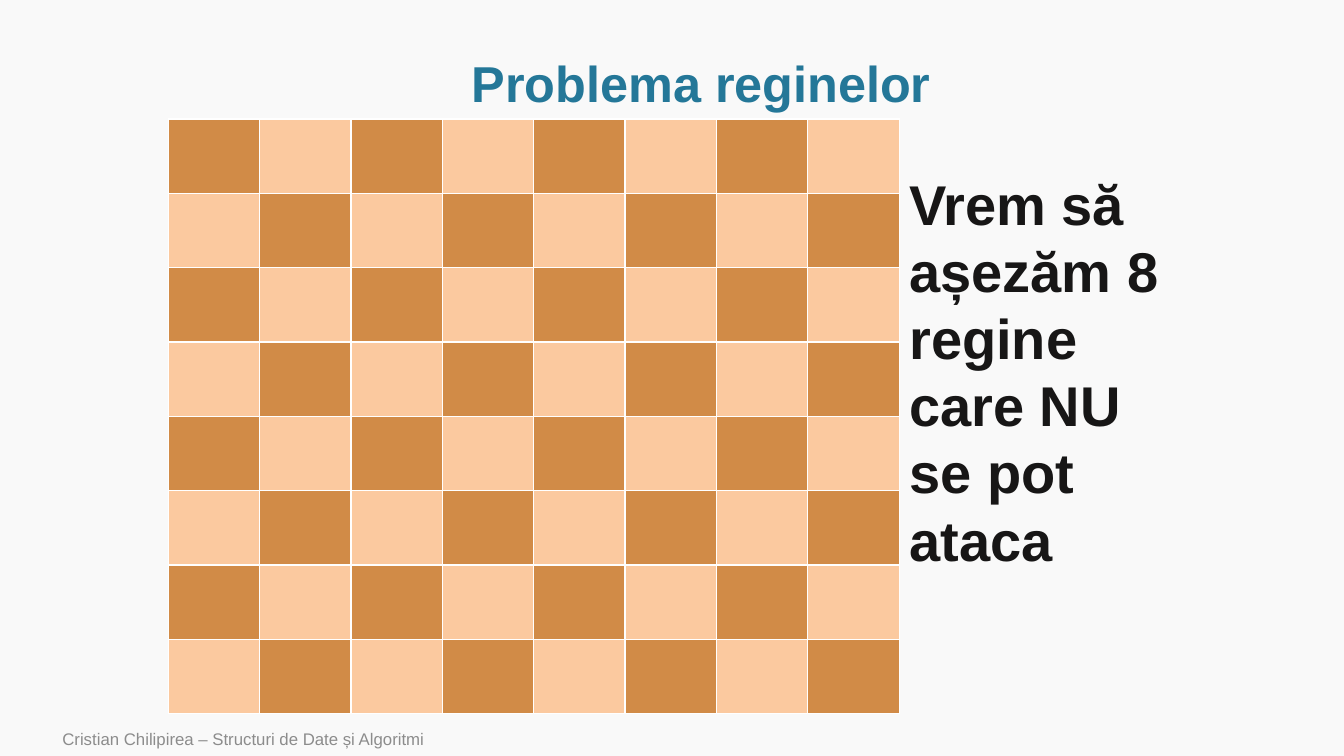
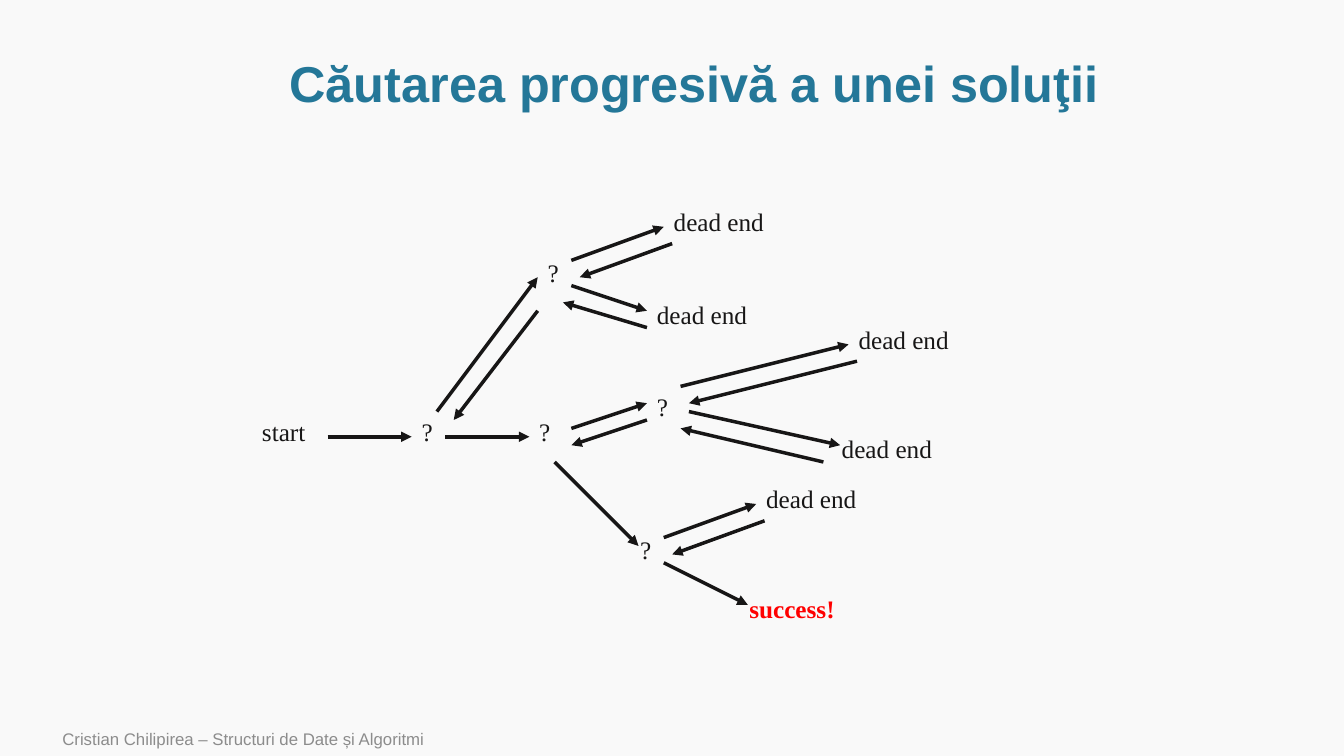
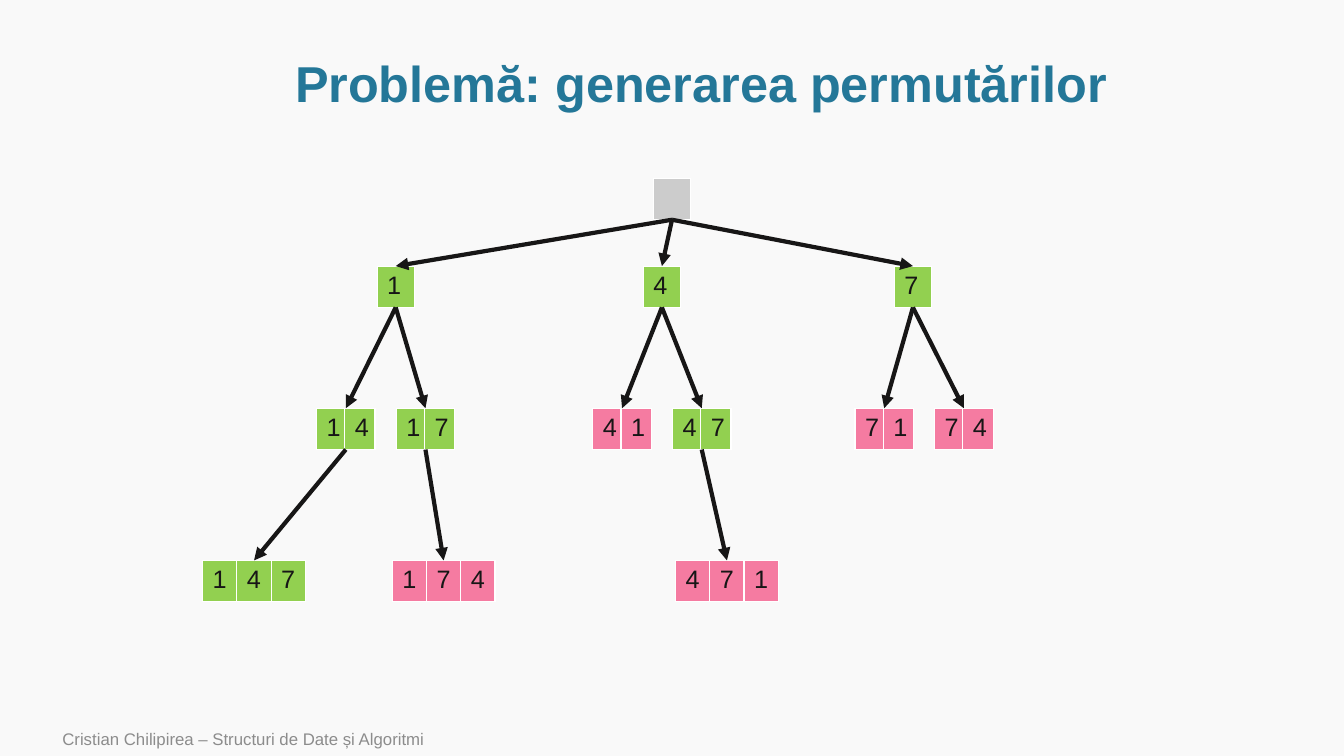
from lxml.etree import SubElement
from pptx import Presentation
from pptx.dml.color import RGBColor
from pptx.enum.shapes import MSO_CONNECTOR as Connector
from pptx.enum.text import MSO_ANCHOR as Anchor, MSO_AUTO_SIZE as AutoSize, PP_ALIGN as Align
from pptx.oxml.ns import qn
from pptx.util import Inches, Pt

# Shared look
PAPER, INK, TITLE_BLUE, FOOTER_GREY, RED = "F9F9F9", "171616", "247798", "8C8C8C", "FF0000"
DARK, LIGHT, WHITE = "D18B47", "FBC99F", "FFFFFF"
GREEN, PINK, GREY = "92D050", "F57BA1", "CCCCCC"
SANS, SERIF = "Arial", "Times New Roman"
TITLE_BOX = (1.14, 0.51, 11.63, 0.69)
FOOTER_BOX = (0.52, 7.16, 8.4, 0.34)
FOOTER = "Cristian Chilipirea – Structuri de Date și Algoritmi"


def color(hex_code):
    return RGBColor.from_string(hex_code)


def write(frame, text, size, hue=INK, face=SANS, bold=False):
    frame.text = text
    for run in frame.paragraphs[0].runs:
        font = run.font
        font.size, font.name, font.bold = Pt(size), face, bold
        font.color.rgb = color(hue)


def add_text(slide, box, text, size, grow=True, **style):
    frame = slide.shapes.add_textbox(*map(Inches, box)).text_frame
    frame.word_wrap = True
    frame.auto_size = AutoSize.SHAPE_TO_FIT_TEXT if grow else AutoSize.NONE
    write(frame, text, size, **style)
    return frame


def add_arrow(slide, start, end, width):
    arrow = slide.shapes.add_connector(Connector.STRAIGHT, *map(Inches, (*start, *end)))
    arrow.line.width = Pt(width)
    arrow.line.color.rgb = color(INK)
    SubElement(arrow.line._get_or_add_ln(), qn("a:tailEnd"), type="triangle")
    SubElement(arrow._element.spPr, qn("a:effectLst"))


def add_grid(slide, box, rows, cols):
    """Add a table without the banded style."""
    table = slide.shapes.add_table(rows, cols, *map(Inches, box)).table
    table.first_row = table.horz_banding = False
    return table


def paint_cell(cell, hue):
    """White thin borders, then the fill, in the order the schema asks for."""
    props = cell._tc.get_or_add_tcPr()
    for side in ("lnL", "lnR", "lnT", "lnB"):
        border = SubElement(props, qn(f"a:{side}"), w=str(Pt(1)))
        fill = SubElement(border, qn("a:solidFill"))
        SubElement(fill, qn("a:srgbClr"), val=WHITE)
    cell.fill.solid()
    cell.fill.fore_color.rgb = color(hue)


def add_slide(prs, heading):
    """Title and footer shared by all slides."""
    slide = prs.slides.add_slide(prs.slide_layouts[5])
    title = slide.shapes.title
    title.left, title.top, title.width, title.height = map(Inches, TITLE_BOX)
    frame = title.text_frame
    frame.auto_size, frame.vertical_anchor = AutoSize.NONE, Anchor.MIDDLE
    write(frame, heading, 36, hue=TITLE_BLUE, bold=True)
    frame.paragraphs[0].alignment = Align.CENTER
    frame.paragraphs[0].line_spacing = 0.9
    footer = add_text(slide, FOOTER_BOX, FOOTER, 12, grow=False, hue=FOOTER_GREY)
    footer.vertical_anchor = Anchor.MIDDLE
    return slide


def draw_board(slide, box, size=8):
    board = add_grid(slide, box, size, size)
    for row in range(size):
        for col in range(size):
            paint_cell(board.cell(row, col), LIGHT if (row + col) % 2 else DARK)


# Search diagram, in steps of 1/12 inch: text, column, row, width
SEARCH_LABELS = [
    ("start", 0, 25, 10), ("?", 19, 25, 6), ("?", 34, 6, 5), ("?", 33, 25, 6),
    ("?", 47, 22, 6), ("?", 45, 39, 6), ("dead end", 49, 0, 21),
    ("dead end", 47, 11, 21), ("dead end", 71, 14, 21), ("dead end", 69, 27, 21),
    ("dead end", 60, 33, 21), ("success!", 58, 46, 21),
]
FORWARD_ARROWS = [
    ((9, 28), (19, 28)), ((22, 25), (34, 9)), ((23, 28), (33, 28)),
    ((38, 7), (49, 3)), ((38, 10), (47, 13)), ((38, 27), (47, 24)),
    ((51, 22), (71, 17)), ((52, 25), (70, 29)), ((36, 31), (46, 41)),
    ((49, 40), (60, 36)), ((49, 43), (59, 48)),
]
BACK_ARROWS = [
    ((50, 5), (39, 9)), ((47, 15), (37, 12)), ((34, 13), (24, 26)),
    ((72, 19), (52, 24)), ((68, 31), (51, 27)), ((47, 26), (38, 29)),
    ((61, 38), (50, 42)),
]


def draw_search(slide, left, top, step=1 / 12):
    def place(col, row):
        return left + col * step, top + row * step

    for text, col, row, width in SEARCH_LABELS:
        success = text == "success!"
        add_text(slide, (*place(col, row), width * step, 0.4), text, 18,
                 hue=RED if success else INK, face=SERIF, bold=success)
    for start, end in FORWARD_ARROWS + BACK_ARROWS:
        add_arrow(slide, place(*start), place(*end), 2.5)


# Permutation tree: digits -> offset from the tree's left edge, fill
TREE_NODES = {
    "": (4.47, GREY),
    "1": (1.73, GREEN), "4": (4.37, GREEN), "7": (6.86, GREEN),
    "14": (1.13, GREEN), "17": (1.92, GREEN), "41": (3.87, PINK),
    "47": (4.66, GREEN), "71": (6.47, PINK), "74": (7.26, PINK),
    "147": (0, GREEN), "174": (1.88, PINK), "471": (4.69, PINK),
}
LEVEL_TOPS = [0, 0.87, 2.28, 3.79]
LEVEL_WIDTHS = [[0.37], [0.37], [0.28, 0.3], [0.34] * 3]
NODE_HEIGHT = 0.41


def draw_tree(slide, left, top):
    def top_center(digits):
        level = len(digits)
        return (left + TREE_NODES[digits][0] + sum(LEVEL_WIDTHS[level]) / 2,
                top + LEVEL_TOPS[level])

    for digits, (offset, hue) in TREE_NODES.items():
        level = len(digits)
        widths = LEVEL_WIDTHS[level]
        box = (left + offset, top + LEVEL_TOPS[level], sum(widths), NODE_HEIGHT)
        node = add_grid(slide, box, 1, len(widths))
        for col, width in enumerate(widths):
            node.columns[col].width = Inches(width)
            cell = node.cell(0, col)
            paint_cell(cell, hue)
            if digits:
                write(cell.text_frame, digits[col], 18)
    # Each node hangs from the one that lacks its last digit
    for digits in filter(None, TREE_NODES):
        x, y = top_center(digits[:-1])
        add_arrow(slide, (x, y + NODE_HEIGHT), top_center(digits), 3)


def main():
    prs = Presentation()
    prs.slide_width, prs.slide_height = Inches(13.33), Inches(7.5)
    background = prs.slide_master.background.fill
    background.solid()
    background.fore_color.rgb = color(PAPER)

    queens = add_slide(prs, "Problema reginelor")
    draw_board(queens, (1.67, 1.18, 7.25, 5.9))
    add_text(queens, (8.92, 1.63, 2.75, 4.14),
             "Vrem să așezăm 8 regine care NU se pot ataca", 40, bold=True)

    search = add_slide(prs, "Căutarea progresivă a unei soluţii ")
    draw_search(search, 2.5, 2)

    permutations = add_slide(prs, "Problemă: generarea permutărilor")
    draw_tree(permutations, 2.01, 1.77)

    prs.save("out.pptx")


if __name__ == "__main__":
    main()
